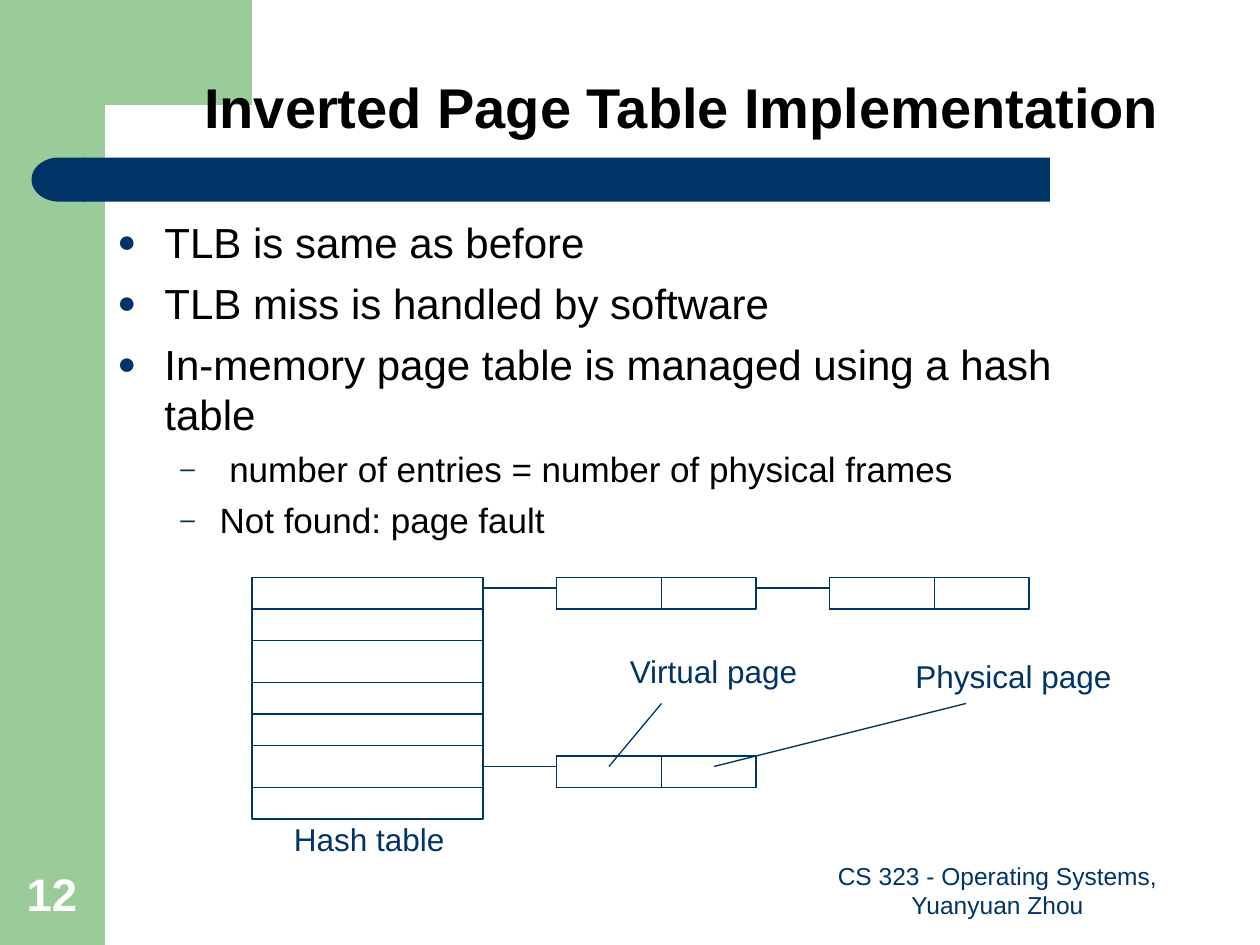
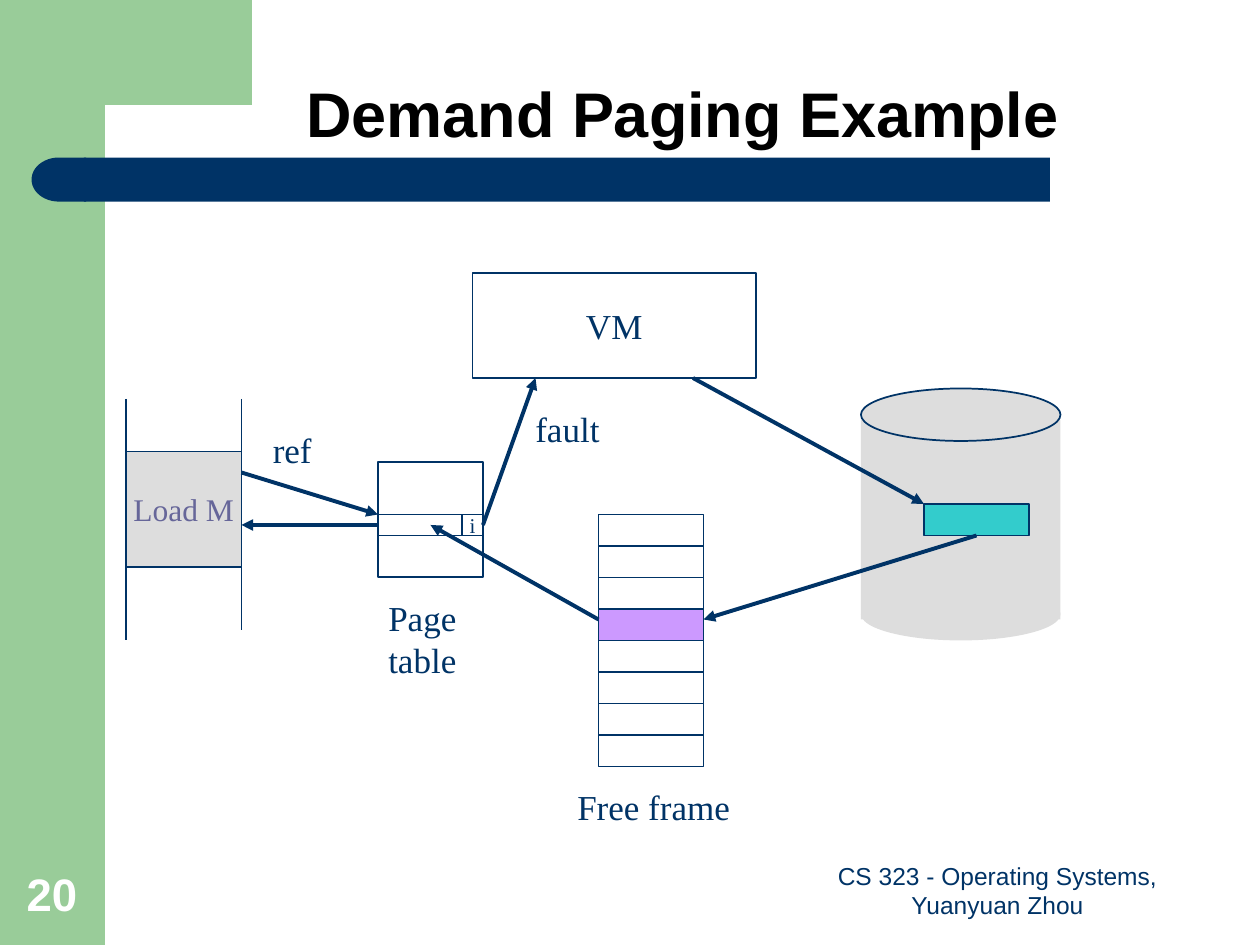
from dataclasses import dataclass
from itertools import accumulate

from pptx import Presentation
from pptx import util as u
from pptx.dml.color import RGBColor
from pptx.enum import shapes, text
from pptx.oxml import ns, xmlchemy

KIND = shapes.MSO_SHAPE
MID = text.MSO_ANCHOR.MIDDLE
LOW = text.MSO_ANCHOR.BOTTOM


@dataclass(frozen=True)
class Theme:
    """Colours, fonts and type sizes of the deck."""
    navy: str = "003366"
    green: str = "99CC99"
    white: str = "FFFFFF"
    black: str = "000000"
    grey: str = "DDDDDD"
    slate: str = "666699"
    teal: str = "33CCCC"
    lilac: str = "CC99FF"
    sans: str = "Arial"
    serif: str = "Times New Roman"
    tiny: int = 12
    foot: int = 14
    note: int = 18
    sub: int = 20
    body: int = 24
    page: int = 26
    head: int = 32
    large: int = 36
    thin: float = 0.75
    line: float = 1
    bold: float = 2.25


T = Theme()


def grid(n):
    """Turn grid steps, twelve to the inch, into a length."""
    return u.Cm(n * 2.54 / 12)


def style(para, size, color, font, bold=False):
    """Format the runs of a paragraph."""
    for run in para.runs:
        run.font.size = u.Pt(size)
        run.font.name = font
        run.font.bold = bold
        run.font.color.rgb = RGBColor.from_string(color)


def write(shape, words, size, color=T.navy, font=T.sans, bold=False,
          wrap=False, align=None, anchor=None):
    """Put styled text in a shape."""
    frame = shape.text_frame
    frame.text = words
    frame.word_wrap = wrap
    if anchor is not None:
        frame.vertical_anchor = anchor
    for para in frame.paragraphs:
        para.alignment = align
        style(para, size, color, font, bold)
    return frame


def label(slide, box, words, size, **look):
    """Add a text box that grows with its text unless it wraps."""
    area = slide.shapes.add_textbox(*map(grid, box))
    frame = write(area, words, size, **look)
    if not frame.word_wrap:
        frame.auto_size = text.MSO_AUTO_SIZE.SHAPE_TO_FIT_TEXT
    return frame


def paint(shape, fill, line, width):
    """Set the fill and outline of a shape."""
    shape.shadow.inherit = False
    if fill:
        shape.fill.solid()
        shape.fill.fore_color.rgb = RGBColor.from_string(fill)
    else:
        shape.fill.background()
    if line:
        shape.line.color.rgb = RGBColor.from_string(line)
        shape.line.width = u.Pt(width)
    else:
        shape.line.fill.background()
    return shape


def block(slide, box, fill=T.white, line=T.navy, width=T.line,
          kind=KIND.RECTANGLE):
    """Add a preset shape."""
    shape = slide.shapes.add_shape(kind, *map(grid, box))
    return paint(shape, fill, line, width)


def link(slide, start, end, width=T.thin, arrow=False, source=None):
    """Add a straight line, joined to a (shape, side) source if given."""
    line = slide.shapes.add_connector(
        shapes.MSO_CONNECTOR.STRAIGHT, *map(grid, (*start, *end)))
    line.line.color.rgb = RGBColor.from_string(T.navy)
    line.line.width = u.Pt(width)
    if source:
        line.begin_connect(*source)
    props = line.element.spPr
    if arrow:
        tail = xmlchemy.OxmlElement("a:tailEnd")
        tail.set("type", "triangle")
        props.find(ns.qn("a:ln")).append(tail)
    props.append(xmlchemy.OxmlElement("a:effectLst"))


def base(deck, title, box, size, page):
    """Add a slide with its bands, title, footer and number."""
    slide = deck.slides.add_slide(deck.slide_layouts[6])
    block(slide, (0, 0, 10, 90), T.green, None)
    edge = slide.shapes.build_freeform(grid(24), grid(0))
    corner = ((24, 10), (10, 10), (8, 15.3), (6, 15.3), (6, 0))
    edge.add_line_segments([(grid(x), grid(y)) for x, y in corner])
    paint(edge.convert_to_shape(), T.green, None, 0)
    block(slide, (8, 15, 92, 4.2), T.navy, None)
    cap = block(slide, (3, 15, 5.2, 4.2), T.navy, None,
                kind=KIND.FLOWCHART_DELAY)
    cap.rotation = 180
    mid = text.PP_ALIGN.CENTER
    head = label(slide, box, title, size, color=T.black, bold=True,
                 wrap=True, align=mid, anchor=LOW)
    head.paragraphs[0].line_spacing = 0.9
    label(slide, (76, 82, 38, 6.2), "CS 323 - Operating Systems, Yuanyuan Zhou",
          T.foot, wrap=True, align=mid, anchor=LOW)
    label(slide, (1.35, 81.9, 7.7, 6.4), page, T.page, color=T.white,
          bold=True, wrap=True, anchor=LOW)
    return slide


def mark(para, sign, left, hang):
    """Give a paragraph a hanging bullet."""
    props = para._p.get_or_add_pPr()
    props.set("marL", str(u.Cm(left)))
    props.set("indent", str(-u.Cm(hang)))
    tint = xmlchemy.OxmlElement("a:buClr")
    shade = xmlchemy.OxmlElement("a:srgbClr")
    shade.set("val", T.navy)
    tint.append(shade)
    props.append(tint)
    for tag, key, value in (("a:buSzPct", "val", "75000"),
                            ("a:buFont", "typeface", T.sans),
                            ("a:buChar", "char", sign)):
        part = xmlchemy.OxmlElement(tag)
        part.set(key, value)
        props.append(part)


def points(slide, box, items):
    """Add a bulleted list of (level, words) items."""
    frame = label(slide, box, "\n".join(words for _, words in items),
                  T.body, color=T.black, wrap=True)
    looks = (("●", 0.95, 0.95, T.body, 6), ("–", 2.06, 0.79, T.sub, 5))
    for i, (para, (level, _)) in enumerate(zip(frame.paragraphs, items)):
        sign, left, hang, size, gap = looks[level]
        para.level = level
        mark(para, sign, left, hang)
        if i:
            para.space_before = u.Pt(gap)
        style(para, size, T.black, T.sans)


def node(slide, x, y):
    """Add a two-part chain entry and the line that leads to it."""
    for wide in (19, 10):
        block(slide, (x, y, wide, 3), None, width=T.thin)
    link(slide, (x - 7, y + 1), (x, y + 1))


def hashing(slide, x, y):
    """Draw the hash table with its chains and labels."""
    rows = (3, 3, 4, 3, 3, 4, 3)
    for top, high in zip(accumulate(rows, initial=0), rows):
        block(slide, (x, y + top, 22, high), None, width=T.thin)
    for left, top in ((29, 0), (55, 0), (29, 17)):
        node(slide, x + left, y + top)
    for start, end in (((34, 18), (39, 12)), ((44, 18), (68, 12))):
        link(slide, (x + start[0], y + start[1]), (x + end[0], y + end[1]))
    for left, top, wide, words in ((2.8, 22.5, 16.7, "Hash table"),
                                   (34.8, 6.5, 18.4, "Virtual page"),
                                   (62, 7, 21.1, "Physical page")):
        label(slide, (x + left, y + top, wide, 4.8), words, T.note)


def disk(slide, x, y):
    """Draw the disk and return its stored page."""
    block(slide, (x, y + 19, 19, 5), T.grey, None, kind=KIND.OVAL)
    block(slide, (x, y + 3, 19, 19), T.grey, None)
    block(slide, (x, y, 19, 5), T.grey, kind=KIND.OVAL)
    return block(slide, (x + 6, y + 11, 10, 3), T.teal)


def code(slide, x, y):
    """Draw the program strip with its load step."""
    load = block(slide, (x, y + 5, 11, 11), T.grey)
    write(load, "Load M", T.note, T.slate, T.serif,
          align=text.PP_ALIGN.CENTER, anchor=MID)
    link(slide, (x + 11, y), (x + 11, y + 22), T.line)
    link(slide, (x, y), (x, y + 23), T.line)


def pages(slide, x, y):
    """Draw the page table and return its entry and valid bit."""
    block(slide, (x, y, 10, 11))
    entry = block(slide, (x, y + 5, 10, 2))
    bit = block(slide, (x + 8, y + 5, 2, 2))
    write(bit, "i", T.tiny, font=T.serif,
          align=text.PP_ALIGN.CENTER, anchor=MID)
    label(slide, (x - 0.2, y + 12.2, 8.9, 9.2), "Page\ntable", T.sub,
          font=T.serif)
    return entry, bit


def frames(slide, x, y):
    """Draw the memory frames with the free one tinted."""
    for i in range(8):
        block(slide, (x, y + 3 * i, 10, 3), T.lilac if i == 3 else T.white)
    label(slide, (x - 3.2, y + 25.2, 17, 5.3), "Free frame", T.sub,
          font=T.serif)


def inverted(deck):
    """Build the slide on the inverted page table."""
    slide = base(deck, "Inverted Page Table Implementation",
                 (13.9, 1, 102.1, 13), T.head, "12")
    points(slide, (10, 20, 101, 62), (
        (0, "TLB is same as before"),
        (0, "TLB miss is handled by software"),
        (0, "In-memory page table is managed using a hash table"),
        (1, " number of entries = number of physical frames"),
        (1, "Not found: page fault")))
    hashing(slide, 24, 55)


def demand(deck):
    """Build the slide on demand paging."""
    slide = base(deck, "Demand Paging Example", (13, 0, 104, 15),
                 T.large, "20")
    stored = disk(slide, 82, 37)
    code(slide, 12, 38)
    entry, bit = pages(slide, 36, 44)
    frames(slide, 57, 49)
    write(block(slide, (45, 26, 27, 10)), "VM", T.sub, font=T.serif,
          align=text.PP_ALIGN.CENTER, anchor=MID)
    label(slide, (24.8, 40.2, 6.1, 5.3), "ref", T.sub, font=T.serif)
    label(slide, (49.8, 38.2, 8.5, 5.3), "fault", T.sub, font=T.serif)
    for start, end, source in (((36, 50), (23, 50), (entry, 1)),
                               ((23, 45), (36, 49), None),
                               ((46, 50), (51, 36), (bit, 3)),
                               ((66, 36), (88, 48), None),
                               ((93, 51), (67, 59), (stored, 2)),
                               ((57, 59), (41, 50), None)):
        link(slide, start, end, T.bold, True, source)


def main():
    """Build and save the deck."""
    deck = Presentation()
    deck.slide_width, deck.slide_height = u.Cm(25.4), u.Cm(19.05)
    inverted(deck)
    demand(deck)
    deck.save("out.pptx")


if __name__ == "__main__":
    main()
